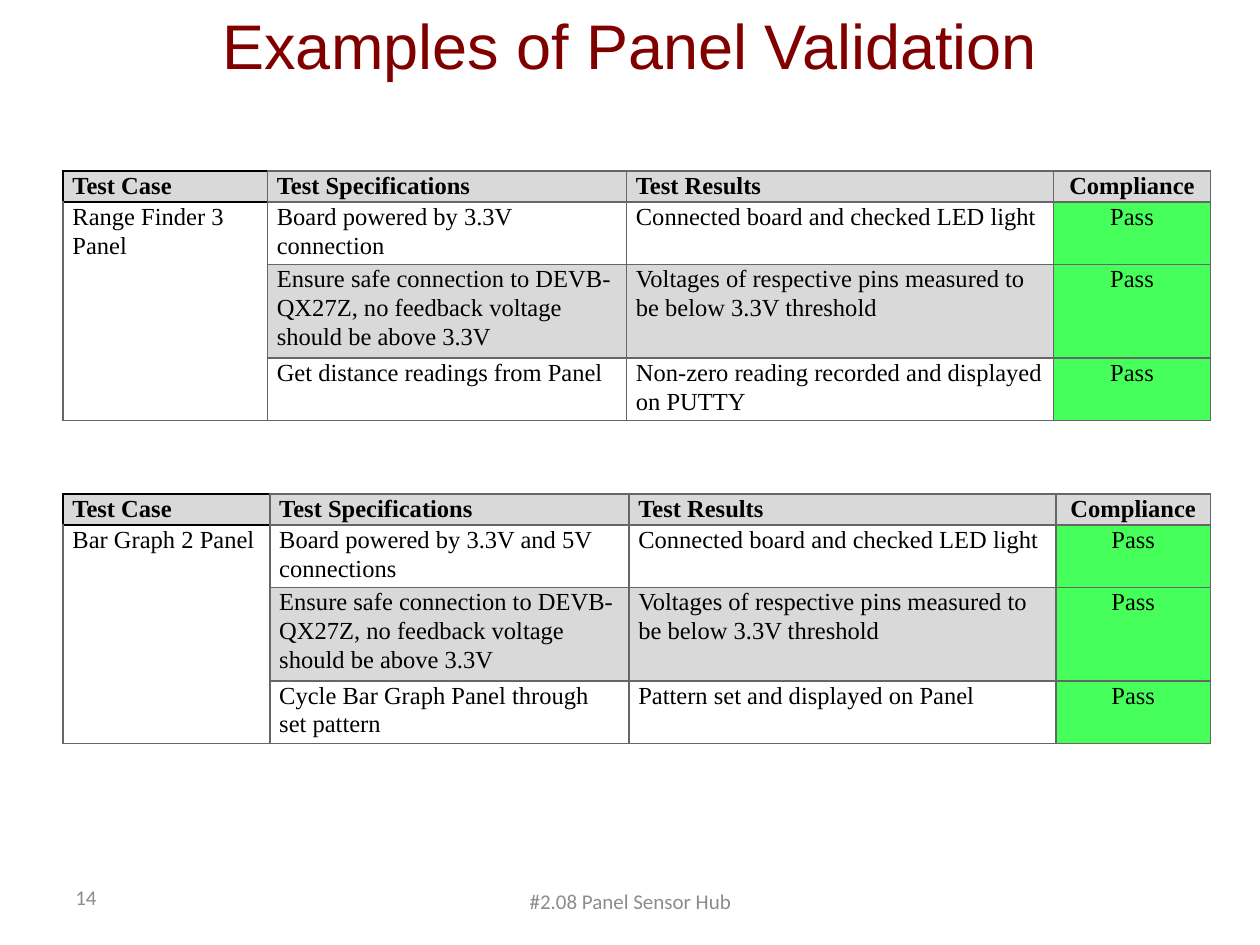
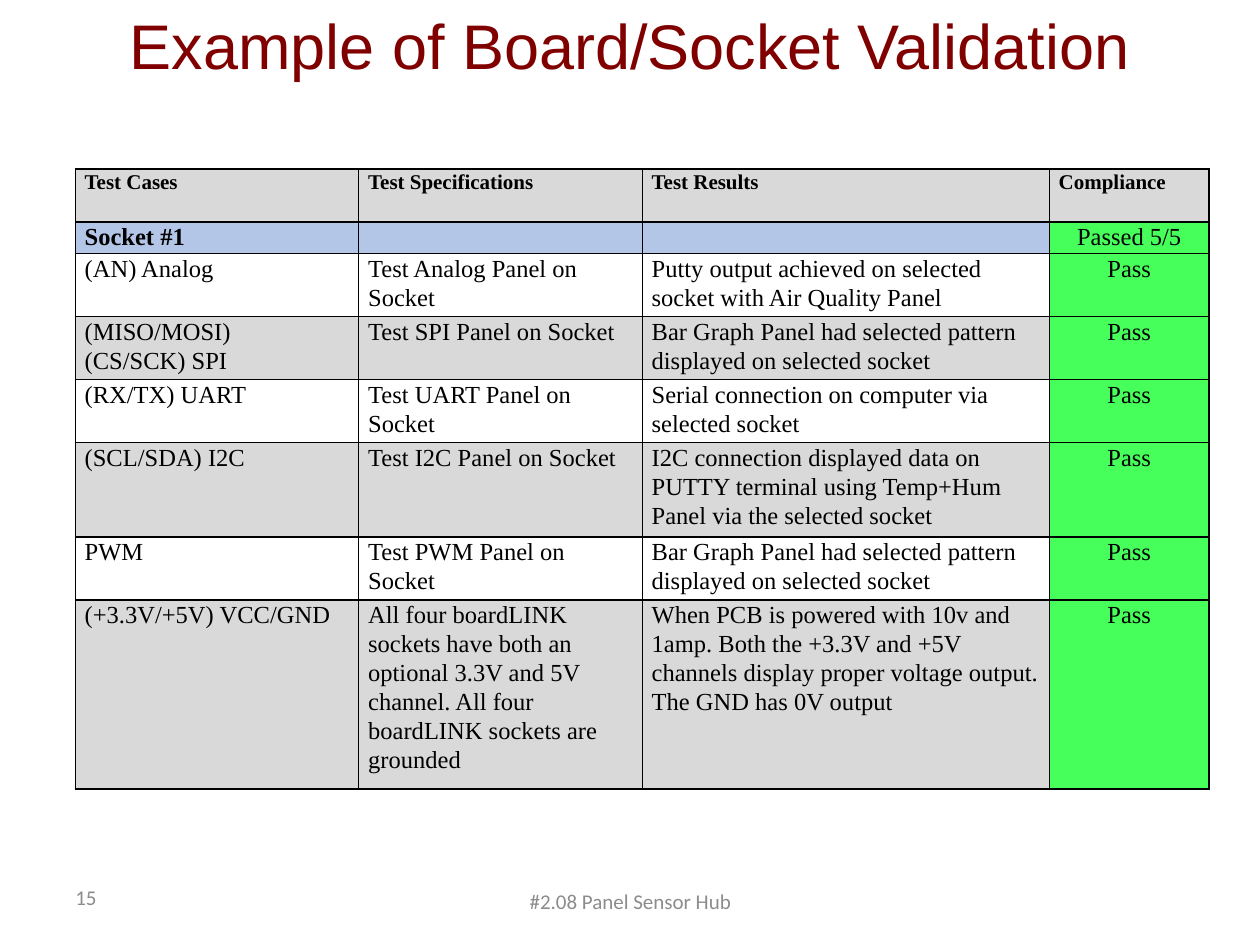
from lxml import etree
from pptx import Presentation
from pptx.dml.color import RGBColor
from pptx.enum.text import MSO_ANCHOR as Anchor, PP_ALIGN as Align
from pptx.oxml.ns import qn
from pptx.util import Pt

MAROON = RGBColor(0x80, 0x00, 0x00)
FOOTER_GREY = RGBColor(0x8C, 0x8C, 0x8C)
RULE_GREY = RGBColor(0x66, 0x66, 0x66)
BAND_GREY = RGBColor(0xD9, 0xD9, 0xD9)
SOCKET_BLUE = RGBColor(0xB4, 0xC6, 0xE7)
PASS_GREEN = RGBColor(0x47, 0xFF, 0x5B)
BLACK = RGBColor(0x00, 0x00, 0x00)
WHITE = RGBColor(0xFF, 0xFF, 0xFF)

TABLE_FONT = "Times New Roman"
BODY_SIZE = 14
COMPLIANCE = 3  # column with the verdicts

# Each test: cell texts, then the number of lines its row needs
SAFE_CONNECTION = (
    "Ensure safe connection to DEVB-QX27Z, no feedback voltage should be above 3.3V",
    "Voltages of respective pins measured to be below 3.3V threshold", 3)
LED_CHECK = "Connected board and checked LED light"
PATTERN_SHOWN = "Bar Graph Panel had selected pattern displayed on selected socket"

RANGER_TESTS = [
    ("Board powered by 3.3V connection", LED_CHECK, 2),
    SAFE_CONNECTION,
    ("Get distance readings from Panel",
     "Non-zero reading recorded and displayed on PUTTY", 2),
]
BAR_GRAPH_TESTS = [
    ("Board powered by 3.3V and 5V connections", LED_CHECK, 2),
    SAFE_CONNECTION,
    ("Cycle Bar Graph Panel through set pattern",
     "Pattern set and displayed on Panel", 2),
]
SOCKET_TESTS = [
    ("(AN) Analog", "Test Analog Panel on Socket",
     "Putty output achieved on selected socket with Air Quality Panel", 2),
    ("(MISO/MOSI)\n(CS/SCK) SPI", "Test SPI Panel on Socket", PATTERN_SHOWN, 2),
    ("(RX/TX) UART", "Test UART Panel on Socket",
     "Serial connection on computer via selected socket", 2),
    ("(SCL/SDA) I2C", "Test I2C Panel on Socket",
     "I2C connection displayed data on PUTTY terminal using Temp+Hum Panel "
     "via the selected socket", 3),
    ("PWM", "Test PWM Panel on Socket", PATTERN_SHOWN, 2),
    ("(+3.3V/+5V) VCC/GND",
     "All four boardLINK sockets have both an optional 3.3V and 5V channel. "
     "All four boardLINK sockets are grounded",
     "When PCB is powered with 10v and 1amp. Both the +3.3V and +5V channels "
     "display proper voltage output. The GND has 0V output", 6),
]


def add_styled_run(paragraph, text, font_name, size, color, bold=False):
    run = paragraph.add_run()
    run.text = text
    run.font.name = font_name
    run.font.size = Pt(size)
    run.font.color.rgb = color
    run.font.bold = bold


def add_label(slide, box, text, font_name, size, color,
              align=Align.LEFT, anchor=Anchor.MIDDLE):
    frame = slide.shapes.add_textbox(*map(Pt, box)).text_frame
    frame.word_wrap = True
    frame.vertical_anchor = anchor
    line = frame.paragraphs[0]
    line.alignment = align
    add_styled_run(line, text, font_name, size, color)


def add_page(deck, title, number):
    """Blank slide with the shared title and footer."""
    slide = deck.slides.add_slide(deck.slide_layouts[6])
    add_label(slide, (246.2, 500.4, 228.2, 28.8), "#2.08 Panel Sensor Hub",
              "Calibri", 12, FOOTER_GREY, Align.CENTER)
    add_label(slide, (36, 498, 167.8, 28.8), str(number),
              "Calibri", 12, FOOTER_GREY)
    add_label(slide, (0, 0, 720, 51), title, "Arial", 36, MAROON,
              Align.CENTER, Anchor.TOP)
    return slide


def draw_borders(cell, color, **sides):
    """Rule all four sides in color; L, R, T or B may override it."""
    properties = cell._tc.get_or_add_tcPr()
    for side in "LRTB":
        rule = etree.SubElement(properties, qn(f"a:ln{side}"), w=str(Pt(1)))
        fill = etree.SubElement(rule, qn("a:solidFill"))
        etree.SubElement(fill, qn("a:srgbClr"), val=str(sides.get(side, color)))


def fill_cell(cell, text, fill, align, spacing, size=BODY_SIZE, bold=False,
              space_after=0):
    cell.margin_left = cell.margin_right = Pt(5.4)
    cell.margin_top = cell.margin_bottom = 0
    cell.fill.solid()
    cell.fill.fore_color.rgb = fill
    frame = cell.text_frame
    for index, line in enumerate(text.split("\n")):
        paragraph = frame.paragraphs[0] if index == 0 else frame.add_paragraph()
        paragraph.alignment = align
        paragraph.line_spacing = spacing
        paragraph.space_after = Pt(space_after)
        if line:
            add_styled_run(paragraph, line, TABLE_FONT, size, BLACK, bold)
        else:
            etree.SubElement(paragraph._p, qn("a:endParaRPr"), sz=str(size * 100))


def add_grid(slide, left, top, widths, heights):
    grid = slide.shapes.add_table(len(heights), len(widths), Pt(left), Pt(top),
                                  Pt(sum(widths)), Pt(sum(heights))).table
    grid.first_row = grid.horz_banding = False
    for column, width in zip(grid.columns, widths):
        column.width = Pt(width)
    for row, height in zip(grid.rows, heights):
        row.height = Pt(height)
    return grid


def align_for(column):
    return Align.CENTER if column == COMPLIANCE else Align.LEFT


def fill_test_row(grid, row, texts, band, spacing):
    """Fill the right-hand cells of a row and close it with a verdict."""
    texts = (*texts, "Pass")
    first = len(grid.columns) - len(texts)
    for column, text in enumerate(texts, first):
        fill = PASS_GREEN if column == COMPLIANCE else band
        fill_cell(grid.cell(row, column), text, fill, align_for(column), spacing)


def add_panel_table(slide, top, widths, test_case, tests):
    line_height, spacing = 17.8, 1.06
    heights = [line_height] + [line_height * lines for *_, lines in tests]
    grid = add_grid(slide, 36, top, widths, heights)

    # Black frame around the header's first cell, grey elsewhere
    for row in range(len(heights)):
        for column in range(len(widths)):
            black_sides = {}
            if column == 0 and row < 2:
                black_sides = dict.fromkeys("LTB" if row == 0 else "T", BLACK)
            draw_borders(grid.cell(row, column), RULE_GREY, **black_sides)

    headings = ("Test Case", "Test Specifications", "Test Results", "Compliance")
    for column, heading in enumerate(headings):
        fill_cell(grid.cell(0, column), heading, BAND_GREY, align_for(column),
                  spacing, bold=True)

    # One test case spans all its tests
    grid.cell(1, 0).merge(grid.cell(len(tests), 0))
    fill_cell(grid.cell(1, 0), test_case, WHITE, Align.LEFT, spacing)
    for row, (*texts, _) in enumerate(tests, 1):
        fill_test_row(grid, row, texts, WHITE if row % 2 else BAND_GREY, spacing)


def add_socket_table(slide):
    line_height, spacing = 18, 1.07
    heights = [30.24, line_height] + [line_height * n for *_, n in SOCKET_TESTS]
    grid = add_grid(slide, 43, 96.6, (162, 162, 232.6, 91.4), heights)
    for cell in grid.iter_cells():
        draw_borders(cell, BLACK)

    headings = ("Test Cases", "Test Specifications", "Test Results", "Compliance")
    for column, heading in enumerate(headings):
        fill_cell(grid.cell(0, column), heading, BAND_GREY, Align.LEFT, spacing,
                  size=12, bold=True, space_after=8)

    # Socket summary
    for column, text in enumerate(("Socket #1", "", "", "Passed 5/5")):
        verdict = column == COMPLIANCE
        fill_cell(grid.cell(1, column), text,
                  PASS_GREEN if verdict else SOCKET_BLUE,
                  align_for(column), spacing, bold=not verdict)

    for row, (*texts, _) in enumerate(SOCKET_TESTS, 2):
        fill_test_row(grid, row, texts, BAND_GREY if row % 2 else WHITE, spacing)


def main():
    deck = Presentation()
    deck.slide_width, deck.slide_height = Pt(720), Pt(540)

    panels = add_page(deck, "Examples of Panel Validation", 14)
    add_panel_table(panels, 97.7, (116.8, 205.2, 244.1, 89.6),
                    "Range Finder 3 Panel", RANGER_TESTS)
    add_panel_table(panels, 282.2, (118.2, 205.2, 244.1, 88.2),
                    "Bar Graph 2 Panel", BAR_GRAPH_TESTS)

    sockets = add_page(deck, "Example of Board/Socket Validation", 15)
    add_socket_table(sockets)

    deck.save("out.pptx")


if __name__ == "__main__":
    main()
